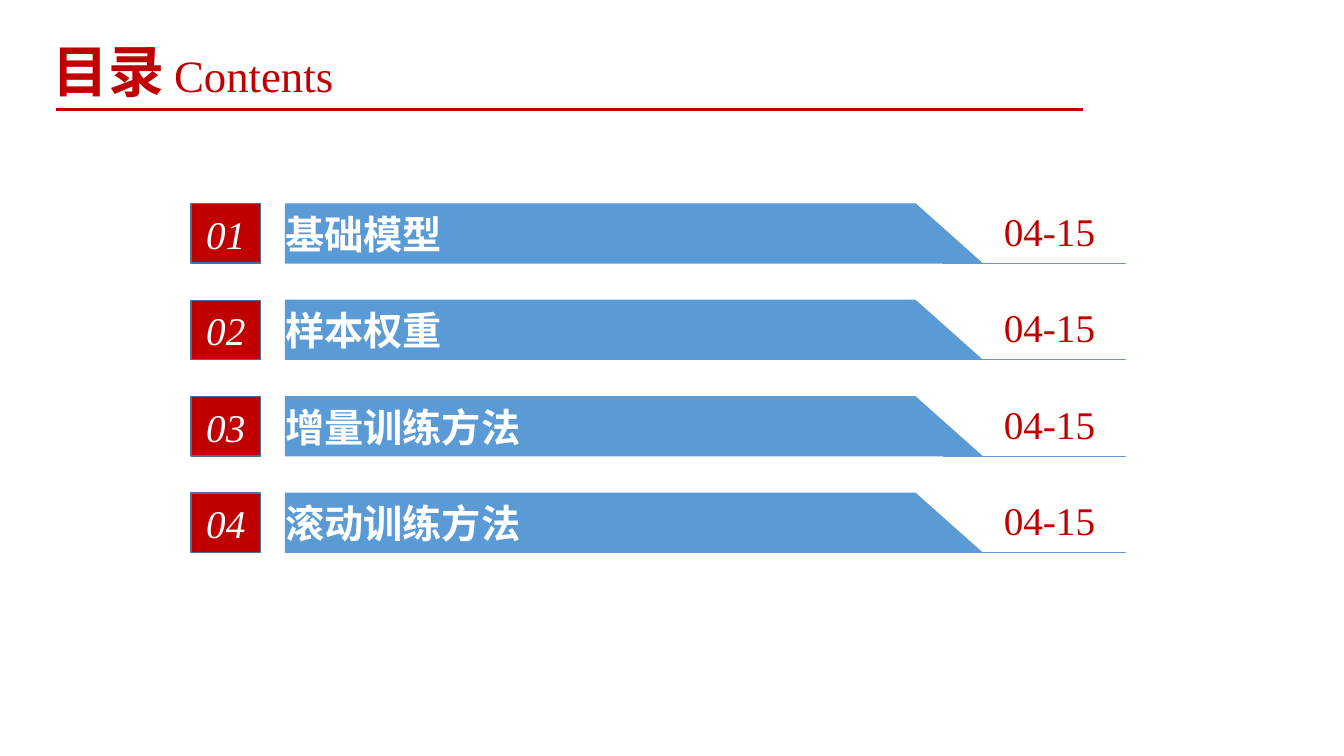
from dataclasses import dataclass

from lxml import etree
from pptx import Presentation
from pptx import util as u
from pptx.dml import color
from pptx.enum import shapes, text
from pptx.oxml import ns


@dataclass(frozen=True)
class Theme:
    red: str = "C00000"
    blue: str = "5B9BD5"
    edge: str = "43739E"
    white: str = "FFFFFF"
    latin: str = "Times New Roman"
    cjk: str = "Noto Sans CJK SC"
    title_size: float = 40
    subtitle_size: float = 32
    row_size: float = 28


@dataclass(frozen=True)
class Entry:
    number: str
    topic: str
    date: str


THEME = Theme()
ENTRIES = [
    Entry("01", "基础模型", "04-15"),
    Entry("02", "样本权重", "04-15"),
    Entry("03", "增量训练方法", "04-15"),
    Entry("04", "滚动训练方法", "04-15"),
]
FIRST_TOP, ROW_PITCH, ROW_HEIGHT = 145.6, 68.9, 42.3


def rgb(value: str) -> color.RGBColor:
    return color.RGBColor.from_string(value)


def add_span(para, words: str, size: float, ink: str, font: str = THEME.latin,
             bold: bool = False, italic: bool = False) -> None:
    span = para.add_run()
    span.text = words
    span.font.size = u.Pt(size)
    span.font.bold = bold
    span.font.italic = italic
    span.font.color.rgb = rgb(ink)
    span.font.name = font
    east_asian = etree.SubElement(span.font._element, ns.qn("a:ea"))
    east_asian.set("typeface", THEME.cjk)


def paint(shape, fill: str, line: str, width: float) -> None:
    shape.shadow.inherit = False
    shape.fill.solid()
    shape.fill.fore_color.rgb = rgb(fill)
    shape.line.color.rgb = rgb(line)
    shape.line.width = u.Pt(width)


def middle_para(shape, align: text.PP_ALIGN):
    """Centre the shape's text vertically and return its first paragraph."""
    frame = shape.text_frame
    frame.word_wrap = True
    frame.vertical_anchor = text.MSO_ANCHOR.MIDDLE
    para = frame.paragraphs[0]
    para.alignment = align
    return para


def add_rule(parent, left: float, right: float, y: float, ink: str, width: float) -> None:
    rule = parent.add_connector(shapes.MSO_CONNECTOR.STRAIGHT,
                                u.Pt(left), u.Pt(y), u.Pt(right), u.Pt(y))
    rule.line.color.rgb = rgb(ink)
    rule.line.width = u.Pt(width)
    etree.SubElement(rule._element.spPr, ns.qn("a:effectLst"))


def add_title(page) -> None:
    box = page.shapes.add_textbox(u.Pt(30.2), u.Pt(22.3), u.Pt(273.6), u.Pt(55.4))
    box.text_frame.word_wrap = True
    box.text_frame.auto_size = text.MSO_AUTO_SIZE.SHAPE_TO_FIT_TEXT
    para = box.text_frame.paragraphs[0]
    add_span(para, "目录", THEME.title_size, THEME.red, THEME.cjk, bold=True)
    add_span(para, " Contents", THEME.subtitle_size, THEME.red)
    add_rule(page.shapes, 40.3, 773.3, 78.5, THEME.red, 2.25)


def add_entry(page, entry: Entry, top: float) -> None:
    row = page.shapes.add_group_shape().shapes
    bottom = top + ROW_HEIGHT

    badge = row.add_shape(shapes.MSO_SHAPE.RECTANGLE, u.Pt(136.4), u.Pt(top),
                          u.Pt(49.7), u.Pt(ROW_HEIGHT))
    paint(badge, THEME.red, THEME.edge, 1)
    add_span(middle_para(badge, text.PP_ALIGN.CENTER), entry.number,
             THEME.row_size, THEME.white, italic=True)

    outline = row.build_freeform(u.Pt(203.8), u.Pt(top), scale=1.0)
    corners = [(653.8, top), (701.3, bottom), (203.8, bottom)]
    outline.add_line_segments([(u.Pt(x), u.Pt(y)) for x, y in corners], close=True)
    bar = outline.convert_to_shape()
    paint(bar, THEME.blue, THEME.blue, 0.75)
    frame = bar.text_frame
    frame.margin_left = frame.margin_top = frame.margin_bottom = u.Pt(0)
    add_span(middle_para(bar, text.PP_ALIGN.LEFT), entry.topic,
             THEME.row_size, THEME.white, bold=True)

    add_rule(row, 673.9, 804.2, bottom, THEME.blue, 0.5)

    date = row.add_textbox(u.Pt(709.9), u.Pt(top + 7.7), u.Pt(92.9), u.Pt(23))
    add_span(middle_para(date, text.PP_ALIGN.LEFT), entry.date,
             THEME.row_size, THEME.red)


def main() -> None:
    deck = Presentation()
    deck.slide_width, deck.slide_height = u.Pt(960), u.Pt(540)
    page = deck.slides.add_slide(deck.slide_layouts[6])
    add_title(page)
    for index, entry in enumerate(ENTRIES):
        add_entry(page, entry, FIRST_TOP + index * ROW_PITCH)
    deck.save("out.pptx")


if __name__ == "__main__":
    main()
